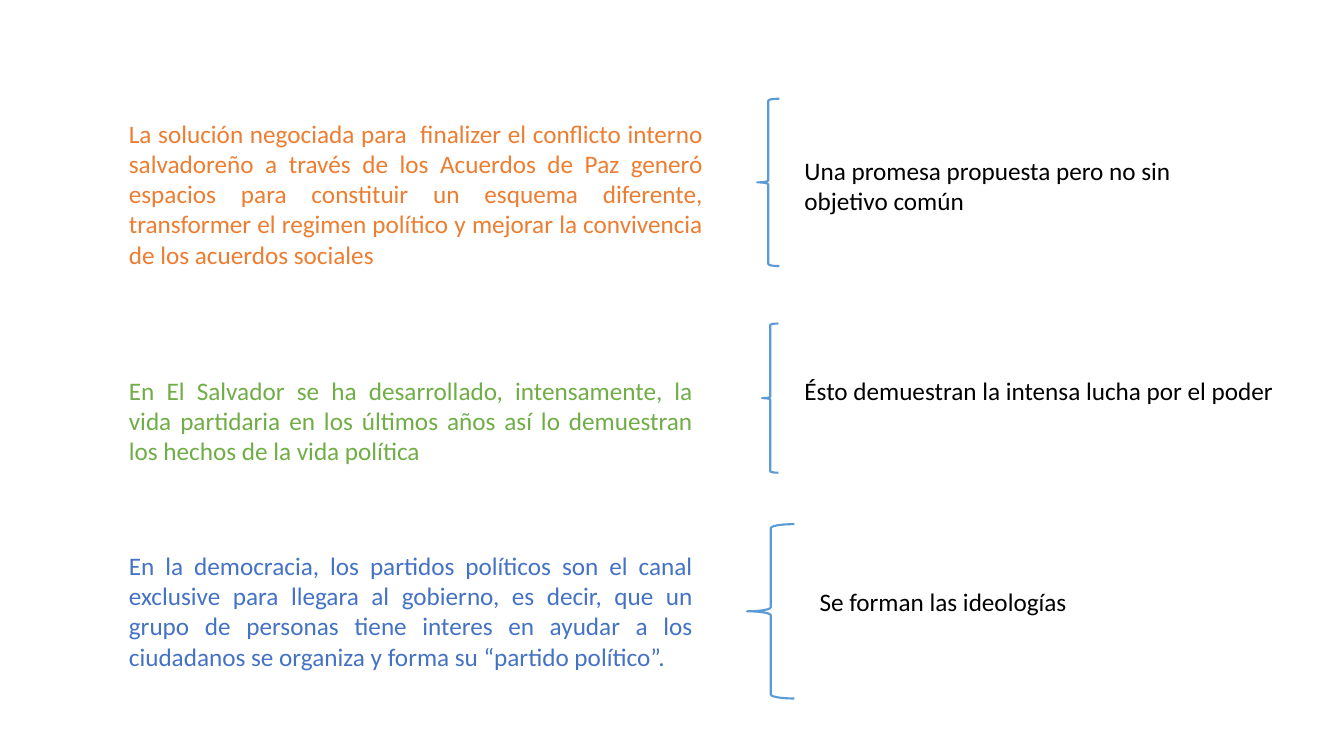
from pptx import Presentation
from pptx.dml.color import RGBColor
from pptx.enum.shapes import MSO_SHAPE
from pptx.enum.text import MSO_AUTO_SIZE, PP_ALIGN
from pptx.util import Inches, Pt

COLORS = {
    "orange": "ED7D31",
    "green": "70AD47",
    "blue": "4472C4",
    "brace": "5B9BD5",
    "black": "000000",
}
LEFT = 1.18  # shared left edge of the statements

# Each row: statement, brace and conclusion, with boxes as left, top, width, height
ROWS = [
    {
        "color": "orange",
        "statement": "La solución negociada para  finalizer el conflicto interno salvadoreño "
                     "a través de los Acuerdos de Paz generó espacios para constituir un "
                     "esquema diferente, transformer el regimen político y mejorar la "
                     "convivencia de los acuerdos sociales",
        "statement_box": (LEFT, 1.12, 5.89, 1.62),
        "brace_box": (7.51, 0.98, 0.22, 1.66),
        "conclusion": "Una promesa propuesta pero no sin objetivo común",
        "conclusion_box": (7.88, 1.49, 4.58, 0.71),
    },
    {
        "color": "green",
        "statement": "En El Salvador se ha desarrollado, intensamente, la vida partidaria en "
                     "los últimos años así lo demuestran los hechos de la vida política",
        "statement_box": (LEFT, 3.67, 5.79, 1.01),
        "brace_box": (7.56, 3.21, 0.16, 1.48),
        "conclusion": "Ésto demuestran la intensa lucha por el poder",
        "conclusion_box": (7.88, 3.67, 4.97, 0.4),
    },
    {
        "color": "blue",
        "statement": "En la democracia, los partidos políticos son el canal exclusive para "
                     "llegara al gobierno, es decir, que un grupo de personas tiene interes "
                     "en ayudar a los ciudadanos se organiza y forma su “partido político”.",
        "statement_box": (LEFT, 5.41, 5.79, 1.31),
        "brace_box": (7.41, 5.2, 0.47, 1.73),
        "conclusion": "Se forman las ideologías",
        "conclusion_box": (8.03, 5.77, 3.56, 0.4),
    },
]


def add_text(s, box, text, color, align=PP_ALIGN.LEFT):
    tf = s.shapes.add_textbox(*map(Inches, box)).text_frame
    tf.word_wrap = True
    tf.auto_size = MSO_AUTO_SIZE.SHAPE_TO_FIT_TEXT
    p = tf.paragraphs[0]
    p.alignment = align
    r = p.add_run()
    r.text = text
    r.font.name = "Calibri"
    r.font.size = Pt(18)
    r.font.color.rgb = RGBColor.from_string(COLORS[color])


def add_brace(s, box):
    sp = s.shapes.add_shape(MSO_SHAPE.LEFT_BRACE, *map(Inches, box))
    sp.shadow.inherit = False
    sp.fill.background()
    sp.line.color.rgb = RGBColor.from_string(COLORS["brace"])
    sp.line.width = Pt(1.5)


def add_row(s, row):
    add_text(s, row["statement_box"], row["statement"], row["color"], PP_ALIGN.JUSTIFY)
    add_brace(s, row["brace_box"])
    add_text(s, row["conclusion_box"], row["conclusion"], "black")


def main():
    prs = Presentation()
    prs.slide_width, prs.slide_height = Inches(13.33), Inches(7.5)
    s = prs.slides.add_slide(prs.slide_layouts[6])
    for row in ROWS:
        add_row(s, row)
    prs.save("out.pptx")


if __name__ == "__main__":
    main()
